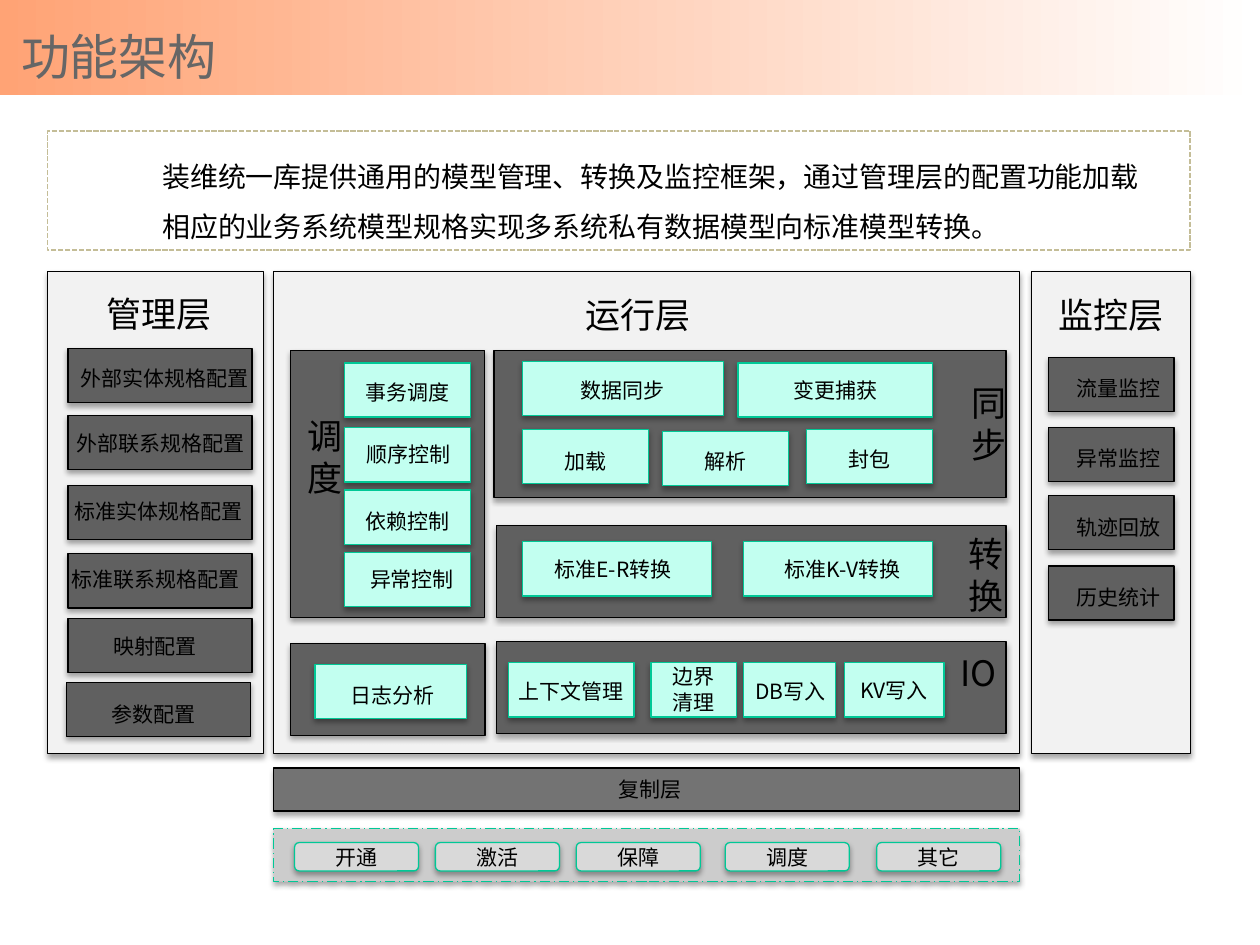
"""Build the functional architecture slide."""
from lxml import etree
from pptx import Presentation
from pptx.dml.color import RGBColor
from pptx.enum import dml, shapes, text
from pptx.oxml import ns
from pptx.util import Pt

FONT = "Noto Sans CJK SC"
BLACK, DARK, PALE = "000000", "606060", "F2F2F2"
MINT, GREEN = "C2FFF0", "00C896"
RECT = shapes.MSO_SHAPE.RECTANGLE
ROUND = shapes.MSO_SHAPE.ROUNDED_RECTANGLE
MID, TOP = text.MSO_ANCHOR.MIDDLE, text.MSO_ANCHOR.TOP
LEFT, CENTER = text.PP_ALIGN.LEFT, text.PP_ALIGN.CENTER
color = RGBColor.from_string

deck = Presentation()
deck.slide_width, deck.slide_height = Pt(720), Pt(540)
slide = deck.slides.add_slide(deck.slide_layouts[6])


def box(x, y, w, h, fill, line=BLACK, kind=RECT):
    shape = slide.shapes.add_shape(kind, Pt(x), Pt(y), Pt(w), Pt(h))
    shape.fill.solid()
    shape.fill.fore_color.rgb = color(fill)
    shape.line.color.rgb = color(line)
    shape.line.width = Pt(0.75)
    shape.shadow.inherit = False
    glow = etree.SubElement(
        shape._element.spPr.find(ns.qn("a:effectLst")), ns.qn("a:outerShdw"),
        blurRad="40000", dist="23000", dir="5400000", rotWithShape="0")
    tint = etree.SubElement(glow, ns.qn("a:srgbClr"), val=BLACK)
    etree.SubElement(tint, ns.qn("a:alpha"), val="35000")
    return shape


def label(words, x, y, w, h=21, size=12, anchor=MID, align=CENTER, ink=BLACK):
    item = slide.shapes.add_textbox(Pt(x), Pt(y), Pt(w), Pt(h))
    frame = item.text_frame
    frame.word_wrap = True
    frame.auto_size = text.MSO_AUTO_SIZE.SHAPE_TO_FIT_TEXT
    frame.vertical_anchor = anchor
    frame.text = words
    for para in frame.paragraphs:
        para.alignment = align
        for run in para.runs:
            run.font.size = Pt(size)
            run.font.name = FONT
            run.font.color.rgb = color(ink)
            etree.SubElement(run.font._element, ns.qn("a:ea"), typeface=FONT)
    return frame


band = slide.shapes.add_shape(RECT, 0, 0, Pt(720), Pt(54.5))
band.shadow.inherit = False
band.line.fill.background()
band.fill.gradient()
band.fill.gradient_angle = 0
for stop, tone in zip(band.fill.gradient_stops, ("FFA375", "FFFFFF")):
    stop.color.rgb = color(tone)
    stop.position = 0 if tone == "FFA375" else 1
title = label("功能架构", 5, 2.2, 648, 59, 28, align=LEFT, ink="666666")
title.auto_size = text.MSO_AUTO_SIZE.NONE

for x, w in ((27.2, 123.5), (156.2, 426.6), (589.5, 91)):
    box(x, 155, w, 275.8, PALE)

for x, y, w, h in (
    (282.4, 200.3, 292.6, 84.2),
    (283.7, 300.3, 291.3, 52.5),
    (166.2, 200.3, 110.7, 152.5),
    (283.7, 366.6, 291.3, 52.5),
    (166.2, 367.7, 111, 52.5),
):
    box(x, y, w, h, DARK)

for words, x, y, lx, ly, lw in (
    ("外部实体规格配置", 38.9, 199.2, 38, 205.3, 112.5),
    ("外部联系规格配置", 38.9, 237.4, 35.7, 242.7, 112.5),
    ("标准实体规格配置", 38.9, 277.4, 34.2, 281.8, 112.5),
    ("标准联系规格配置", 38.9, 316.4, 32.6, 320.4, 112.5),
    ("映射配置", 38.9, 353.4, 38.9, 358.4, 99.4),
    ("参数配置", 37.9, 390, 38.2, 397.4, 99.4),
):
    box(x, y, 105.1, 31, DARK)
    label(words, lx, ly, lw)

for words, y in (("流量监控", 204.2), ("异常监控", 244.2),
                 ("轨迹回放", 283.2), ("历史统计", 323.4)):
    box(599, y, 72, 31, DARK)
    label(words, 607, y + 7.2, 64.1)

for words, x, y, w, lx, ly, lw in (
    ("数据同步", 298.5, 206.6, 114.8, 317.5, 212.4, 77),
    ("变更捕获", 421.8, 207.4, 111.2, 439.2, 212.4, 77),
    ("加载", 298.5, 245.5, 72, 306.7, 252.7, 56.2),
    ("解析", 378.6, 246.6, 72, 386.6, 252.7, 56.2),
    ("封包", 460.8, 245.5, 72, 468.7, 251.6, 56.2),
    ("标准E-R转换", 298.5, 309.6, 108, 308.2, 314.6, 84.2),
    ("标准K-V转换", 424.8, 309.6, 108, 439.2, 314.6, 84.2),
    ("事务调度", 197, 207.4, 72, 200.9, 213.8, 64.1),
    ("顺序控制", 197, 244.4, 72, 200.2, 248.8, 67),
    ("依赖控制", 197, 280.1, 72, 200.9, 287.3, 64.1),
    ("异常控制", 197, 315.8, 72, 198, 320.4, 74.9),
    ("上下文管理", 290.4, 378.7, 72, 288.7, 384.5, 75.2),
    ("边界\n清理", 372, 378.7, 49, 365.8, 375.8, 61.2),
    ("DB写入", 424.8, 378.7, 52.6, 422.6, 384.5, 58),
    ("KV写入", 482.4, 378.7, 57, 482.4, 383.8, 57),
    ("日志分析", 180, 379.7, 86.6, 179.3, 386.6, 90),
):
    box(x, y, w, 31, MINT, GREEN)
    label(words, lx, ly, lw, 36 if "\n" in words else 21)

for words, x, y, w, h in (
    ("调度", 168.5, 233.3, 22.3, 55.4),
    ("同步", 547.9, 214.6, 22.3, 55.4),
    ("转换", 546.5, 301, 22.3, 55.4),
    ("IO", 541.2, 368.6, 36, 55.4),
    ("管理层", 38.2, 163.4, 105.8, 31.7),
    ("运行层", 311.8, 164.2, 105.8, 31.7),
    ("监控层", 581.8, 164.2, 105.8, 31.7),
):
    label(words, x, y, w, h, 20, TOP)

box(156.2, 438.8, 426.6, 24.6, "737373")
label("复制层", 329.5, 440.6, 84.2)
strip = box(156.2, 473.5, 426.6, 30.4, "CCCCCC", GREEN)
strip.line.dash_style = dml.MSO_LINE.LONG_DASH_DOT
for words, x in (("开通", 168.3), ("激活", 248.8), ("保障", 329.3),
                 ("调度", 414.4), ("其它", 501)):
    box(x, 481.5, 70.9, 16.2, "D9D9D9", GREEN, ROUND)
    label(words, x + 5.9, 479.5, 59)

edge = slide.shapes.add_shape(RECT, Pt(27.2), Pt(74.8), Pt(653), Pt(68))
edge.shadow.inherit = False
edge.fill.background()
edge.line.color.rgb = color("C4BD97")
edge.line.width = Pt(1)
edge.line.dash_style = dml.MSO_LINE.SQUARE_DOT
intro = label(
    "装维统一库提供通用的模型管理、转换及监控框架，通过管理层的配置功能加载"
    "相应的业务系统模型规格实现多系统私有数据模型向标准模型转换。",
    85.7, 77.8, 585.4, 65.5, 16, TOP, LEFT)
intro.paragraphs[0].line_spacing = 1.5

deck.save("out.pptx")
